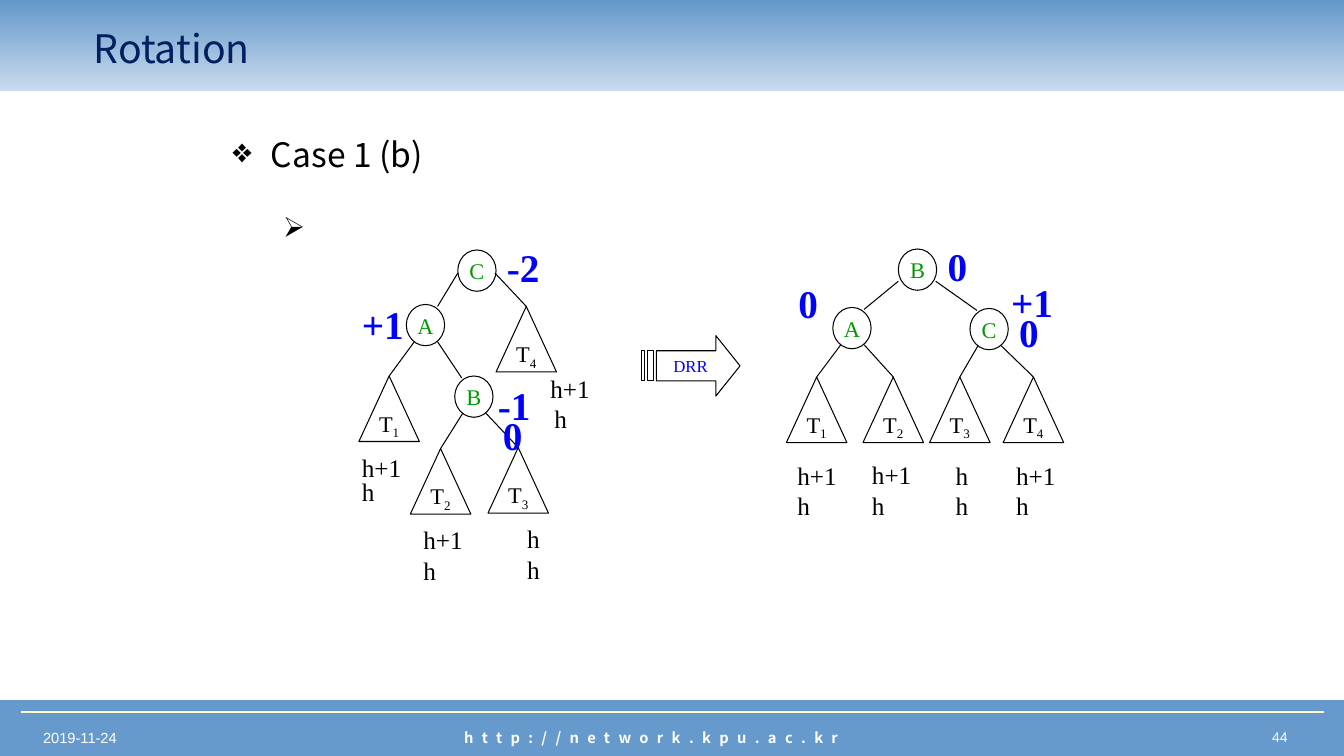
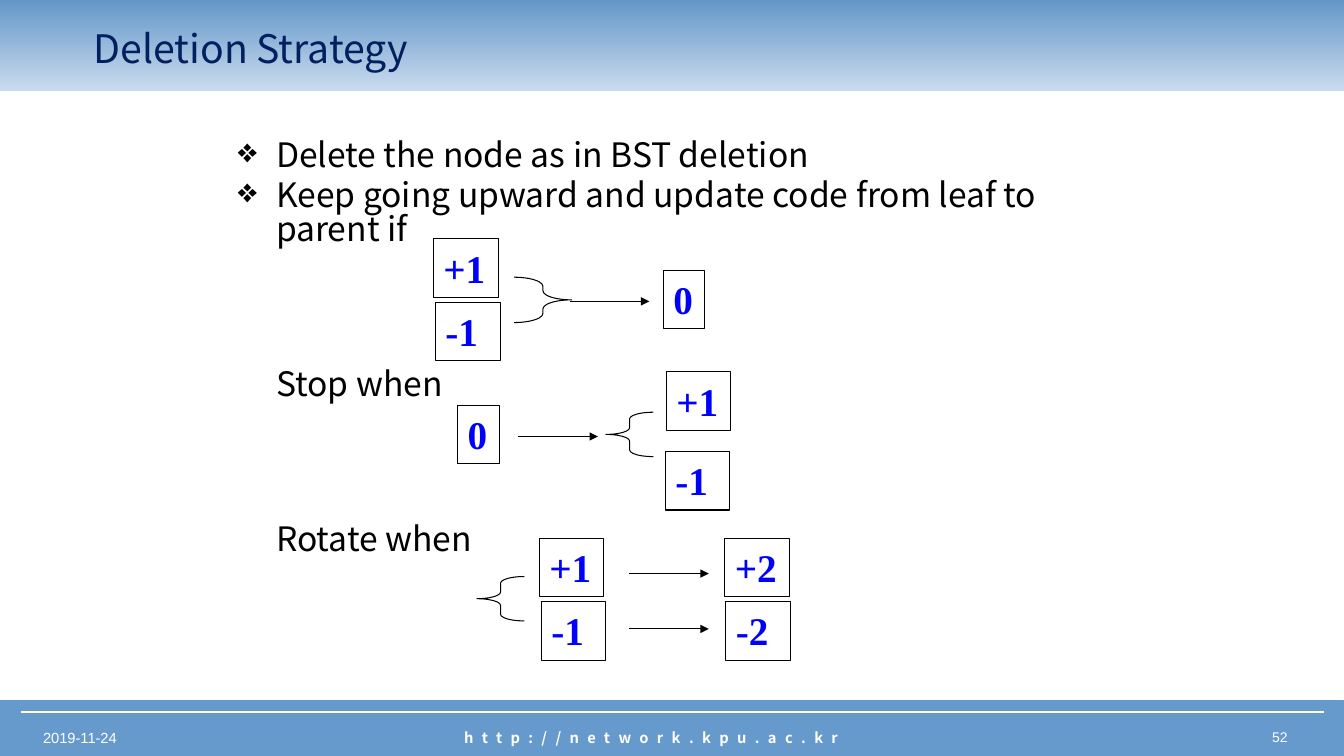
"""Build two slides on tree rotation and deletion strategy."""
from dataclasses import dataclass

from lxml import etree
from pptx import Presentation
from pptx.dml.color import RGBColor
from pptx.enum.shapes import MSO_CONNECTOR, MSO_SHAPE
from pptx.enum.text import MSO_ANCHOR, MSO_AUTO_SIZE, PP_ALIGN
from pptx.oxml.ns import qn
from pptx.util import Inches, Pt

RECTANGLE, ELLIPSE = MSO_SHAPE.RECTANGLE, MSO_SHAPE.OVAL
TRIANGLE = MSO_SHAPE.ISOSCELES_TRIANGLE
LEFT_BRACE, RIGHT_BRACE = MSO_SHAPE.LEFT_BRACE, MSO_SHAPE.RIGHT_BRACE
STRAIGHT = MSO_CONNECTOR.STRAIGHT
LEFT, CENTER, RIGHT = PP_ALIGN.LEFT, PP_ALIGN.CENTER, PP_ALIGN.RIGHT
TOP, MIDDLE = MSO_ANCHOR.TOP, MSO_ANCHOR.MIDDLE


@dataclass(frozen=True)
class Theme:
    """Colours, fonts and line widths of the deck."""
    band: str = "6699CC"
    header_top: str = "6497C9"
    header_bottom: str = "C9DBEE"
    rule: str = "FFFFCC"
    title: str = "002060"
    ink: str = "000000"
    white: str = "FFFFFF"
    node: str = "009900"
    accent: str = "0000FF"
    sans: str = "Noto Sans CJK KR"
    serif: str = "Times New Roman"
    footer: str = "Arial"
    thin: float = 0.75
    thick: float = 1.5


THEME = Theme()


def style(name, size, color, bold=False):
    """Return the format values of a kind of text."""
    return {"name": name, "size": Pt(size), "bold": bold, "color": color}


STYLES = {
    "title": style(THEME.sans, 28, THEME.title),
    "body": style(THEME.sans, 24, THEME.ink),
    "sub": style(THEME.sans, 20, THEME.ink),
    "date": style(THEME.footer, 10.5, THEME.white),
    "number": style(THEME.footer, 10, THEME.white),
    "address": style(THEME.sans, 10.5, THEME.white, True),
    "node": style(THEME.serif, 16, THEME.node),
    "leaf": style(THEME.serif, 16, THEME.ink),
    "height": style(THEME.serif, 18, THEME.ink),
    "balance": style(THEME.serif, 28, THEME.accent, True),
    "arrow": style(THEME.serif, 12, THEME.accent),
}

DATE, ADDRESS = "2019-11-24", "http://network.kpu.ac.kr"

ROTATION_BODY = [
    ("Case 1 (b)", "body", "❖", 0.38, 0.38, 0),
    (" ", "sub", "➢", 0.81, 0.31, 32),
]
NODE_SIZE, LEAF_SIZE = (0.38, 0.41), (0.6, 0.65)
TREES = [
    {
        "root": "C",
        "shoulder": 0.23,
        "nodes": {"C": (4.54, 2.48), "A": (4.03, 3.02), "B": (4.51, 3.73)},
        "leaves": {"1": (3.56, 3.73), "2": (4.07, 4.45),
                   "3": (4.84, 4.44), "4": (4.92, 3.04)},
        "children": {"C": ("A", "4"), "A": ("1", "B"), "B": ("2", "3")},
        "balances": [("-2", 4.93, 2.36), ("+1", 3.49, 2.93),
                     ("-1", 4.84, 3.73), ("0", 4.89, 4.03)],
        "heights": [("h+1", 5.36, 3.65), ("h", 5.4, 3.95),
                    ("h+1", 3.49, 4.44), ("h", 3.49, 4.68),
                    ("h+1", 4.1, 5.15), ("h", 4.1, 5.46),
                    ("h", 5.13, 5.14), ("h", 5.13, 5.45)],
    },
    {
        "root": "B",
        "shoulder": 0.32,
        "nodes": {"B": (8.91, 2.47), "A": (8.26, 3.05), "C": (9.62, 3.06)},
        "leaves": {"1": (7.8, 3.74), "2": (8.56, 3.74),
                   "3": (9.22, 3.74), "4": (9.95, 3.74)},
        "children": {"B": ("A", "C"), "A": ("1", "2"), "C": ("3", "4")},
        "balances": [("0", 9.3, 2.35), ("0", 7.82, 2.72),
                     ("+1", 9.93, 2.71), ("0", 10.01, 3.01)],
        "heights": [("h+1", 7.81, 4.52), ("h", 7.81, 4.82),
                    ("h+1", 8.55, 4.51), ("h", 8.55, 4.82),
                    ("h", 9.38, 4.52), ("h", 9.38, 4.82),
                    ("h+1", 9.98, 4.52), ("h", 9.98, 4.82)],
    },
]
ARROW_OUTLINES = [
    [(7.1, 3.33), (7.1, 3.48), (6.51, 3.48), (6.51, 3.78),
     (7.1, 3.78), (7.1, 3.93), (7.34, 3.63)],
    [(6.42, 3.48), (6.42, 3.78), (6.48, 3.78), (6.48, 3.48)],
    [(6.36, 3.48), (6.36, 3.78), (6.39, 3.78), (6.39, 3.48)],
]

DELETION_BODY = [
    ("Delete the node as in BST deletion", "body", "❖", 0.38, 0.38, 0),
    ("Keep going upward and update code from leaf to\vparent if",
     "body", "❖", 0.38, 0.38, 4.8),
    ("Stop when", "body", None, 0.38, 0, 86.7),
    ("Rotate when", "body", None, 0.38, 0, 86.7),
]
CODES = [
    ("+1", 4.3, 2.37), ("-1", 4.32, 3), ("0", 6.58, 2.68),
    ("0", 4.54, 4.02), ("+1", 6.61, 3.69), ("-1", 6.6, 4.48),
    ("+1", 5.35, 5.34), ("-1", 5.37, 5.97),
    ("+2", 7.19, 5.34), ("-2", 7.2, 5.97),
]
CODE_ARROWS = [(5.65, 2.99), (5.14, 4.33), (6.24, 5.69), (6.24, 6.24)]
ARROW_LENGTH = 0.79
BRACES = [
    (RIGHT_BRACE, (5.1, 2.75, 0.57, 0.45), 0.2),
    (LEFT_BRACE, (6.01, 4.09, 0.47, 0.44), 0.15),
    (LEFT_BRACE, (4.73, 5.72, 0.47, 0.44), 0.15),
]


def rgb(value):
    """Turn a hex value into a colour."""
    return RGBColor.from_string(value)


def apply_style(font, style_name):
    """Set the attributes of a font from a named style."""
    for key, value in STYLES[style_name].items():
        if key == "color":
            font.color.rgb = rgb(value)
        else:
            setattr(font, key, value)


def write(shape, text, style_name, align=LEFT, anchor=TOP, wrap=False, subscript=""):
    """Put one styled paragraph in a shape and return its first run."""
    frame = shape.text_frame
    frame.word_wrap, frame.vertical_anchor = wrap, anchor
    frame.auto_size = MSO_AUTO_SIZE.NONE
    paragraph = frame.paragraphs[0]
    paragraph.alignment = align
    for part in filter(None, (text, subscript)):
        run = paragraph.add_run()
        run.text = part
        apply_style(run.font, style_name)
    if subscript:
        run.font._element.set("baseline", "-25000")
    return paragraph.runs[0]


def paint(shape, fill=None, line=None):
    """Set fill and line of a shape and drop its shadow."""
    shape.shadow.inherit = False
    if fill:
        shape.fill.solid()
        shape.fill.fore_color.rgb = rgb(fill)
    else:
        shape.fill.background()
    if line:
        shape.line.color.rgb = rgb(line)
        shape.line.width = Pt(THEME.thin)
    else:
        shape.line.fill.background()


def add_shape(slide, kind, box, fill=None, line=THEME.ink):
    """Add a preset shape at a box in inches."""
    shape = slide.shapes.add_shape(kind, *map(Inches, box))
    paint(shape, fill, line)
    return shape


def add_label(slide, text, box, style_name, align=LEFT):
    """Add a one-line text box."""
    label = slide.shapes.add_textbox(*map(Inches, box))
    return write(label, text, style_name, align, wrap=True)


def add_line(slide, start, end, color=THEME.ink, width=THEME.thin, arrow=False):
    """Add a straight line, with an arrowhead if asked."""
    line = slide.shapes.add_connector(STRAIGHT, *map(Inches, (*start, *end)))
    line.line.color.rgb = rgb(color)
    line.line.width = Pt(width)
    if arrow:
        etree.SubElement(line.line._get_or_add_ln(), qn("a:tailEnd"), type="triangle")
    etree.SubElement(line._element.spPr, qn("a:effectLst"))


def add_body(slide, left, width, paragraphs):
    """Add the bulleted text of a slide."""
    box = slide.shapes.add_textbox(*map(Inches, (left, 1.35, width, 5)))
    frame = box.text_frame
    frame.word_wrap = True
    for index, (text, style_name, bullet, margin, hang, before) in enumerate(paragraphs):
        paragraph = frame.add_paragraph() if index else frame.paragraphs[0]
        paragraph.text = text
        paragraph.line_spacing = 0.83
        paragraph.space_before = Pt(before)
        properties = paragraph._p.get_or_add_pPr()
        properties.set("marL", str(Inches(margin)))
        properties.set("indent", str(-Inches(hang)))
        if bullet:
            etree.SubElement(properties, qn("a:buChar"), char=bullet)
        for run in paragraph.runs:
            apply_style(run.font, style_name)


def add_base(presentation, title_text, number):
    """Add a slide with bands, footer and title."""
    slide = presentation.slides.add_slide(presentation.slide_layouts[5])
    add_shape(slide, RECTANGLE, (0, 6.95, 13.33, 0.55), THEME.band, THEME.band)
    add_label(slide, DATE, (0.33, 7.18, 3.57, 0.28), "date")
    add_label(slide, number, (9.9, 7.18, 2.97, 0.28), "number", RIGHT)
    address = add_label(slide, ADDRESS, (3.02, 7.18, 6.88, 0.28), "address", CENTER)
    address.font._element.set("spc", "600")
    add_line(slide, (0.21, 7.06), (13.13, 7.06), THEME.rule, THEME.thick)
    header = add_shape(slide, RECTANGLE, (0, 0, 13.33, 0.9), line=None)
    header.fill.gradient()
    header.fill.gradient_angle = 270
    for stop, color in zip(header.fill.gradient_stops, (THEME.header_top, THEME.header_bottom)):
        stop.color.rgb = rgb(color)
    title = slide.shapes.title
    slide.shapes._spTree.append(title._element)
    title.left, title.top, title.width, title.height = map(Inches, (0.83, 0.16, 11.25, 0.62))
    write(title, title_text, "title", anchor=MIDDLE, wrap=True)
    return slide


def add_tree(slide, tree):
    """Draw nodes, subtrees, edges and labels of one tree."""
    nodes, leaves = tree["nodes"], tree["leaves"]
    for name, place in nodes.items():
        node = add_shape(slide, ELLIPSE, (*place, *NODE_SIZE))
        write(node, name, "node", CENTER, MIDDLE)
    for name, place in leaves.items():
        leaf = add_shape(slide, TRIANGLE, (*place, *LEAF_SIZE))
        write(leaf, "T", "leaf", CENTER, MIDDLE, subscript=name)
    for parent, children in tree["children"].items():
        left, top = nodes[parent]
        is_root = parent == tree["root"]
        start_offsets = (0, 0.37) if is_root else (0.08, 0.31)
        drop = tree["shoulder"] if is_root else 0.37
        for child, start_offset, end_offset in zip(children, start_offsets, (0.31, 0.07)):
            if child in leaves:
                end_left, end_top = leaves[child]
                end = (end_left + LEAF_SIZE[0] / 2, end_top)
            else:
                end_left, end_top = nodes[child]
                end = (end_left + end_offset, end_top + 0.02)
            add_line(slide, (left + start_offset, top + drop), end)
    for style_name, group, height in (("balance", "balances", 0.57), ("height", "heights", 0.4)):
        for text, left, top in tree[group]:
            add_label(slide, text, (left, top, 0.8, height), style_name)


def add_striped_arrow(slide):
    """Draw the arrow that stands for the rotation."""
    first, *others = [[tuple(map(Inches, point)) for point in outline]
                      for outline in ARROW_OUTLINES]
    builder = slide.shapes.build_freeform(*first[0])
    builder.add_line_segments(first[1:])
    for outline in others:
        builder.move_to(*outline[0])
        builder.add_line_segments(outline[1:])
    arrow = builder.convert_to_shape()
    paint(arrow, THEME.white, THEME.ink)
    write(arrow, "DRR", "arrow", CENTER, MIDDLE)


def build_rotation(presentation):
    """Build the slide with the trees before and after rotation."""
    slide = add_base(presentation, "Rotation", "44")
    add_body(slide, 2.21, 6.3, ROTATION_BODY)
    for tree in TREES:
        add_tree(slide, tree)
    add_striped_arrow(slide)


def build_deletion(presentation):
    """Build the slide with the code changes on deletion."""
    slide = add_base(presentation, "Deletion Strategy", "52")
    add_body(slide, 2.26, 9.21, DELETION_BODY)
    for text, left, top in CODES:
        width = 0.41 if text == "0" else 0.64
        write(add_shape(slide, RECTANGLE, (left, top, width, 0.58)), text, "balance")
    for left, top in CODE_ARROWS:
        add_line(slide, (left, top), (left + ARROW_LENGTH, top), arrow=True)
    for kind, box, curve in BRACES:
        add_shape(slide, kind, box).adjustments[0] = curve


def main():
    """Build and save the deck."""
    presentation = Presentation()
    presentation.slide_width, presentation.slide_height = Inches(13.33), Inches(7.5)
    build_rotation(presentation)
    build_deletion(presentation)
    presentation.save("out.pptx")


if __name__ == "__main__":
    main()
